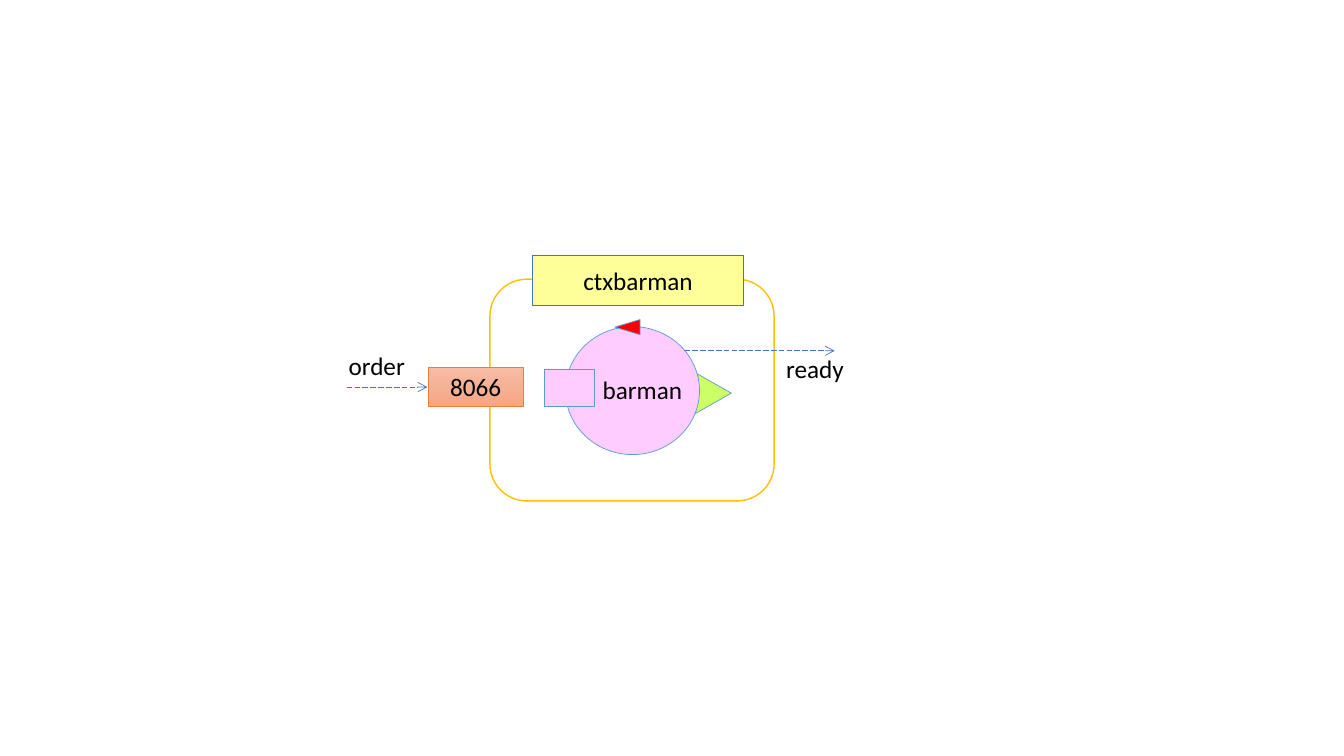
"""Draw the barman actor inside its context, with its order and ready messages."""
import copy

import pptx
import pptx.dml.color
import pptx.enum.dml
import pptx.enum.shapes
import pptx.enum.text
import pptx.oxml.ns
import pptx.util

RGB = pptx.dml.color.RGBColor
SHAPE = pptx.enum.shapes.MSO_SHAPE
ALIGN = pptx.enum.text.PP_ALIGN
ANCHOR = pptx.enum.text.MSO_ANCHOR
qn = pptx.oxml.ns.qn

WHITE = RGB(0xFF, 0xFF, 0xFF)
BLACK = RGB(0x00, 0x00, 0x00)
AMBER = RGB(0xFF, 0xC0, 0x00)
YELLOW = RGB(0xFF, 0xFF, 0x99)
PINK = RGB(0xFF, 0xCC, 0xFF)
LIME = RGB(0xCC, 0xFF, 0x66)
RED = RGB(0xFF, 0x00, 0x00)
SKY = RGB(0x5B, 0x9B, 0xD5)
BLUE = RGB(0x44, 0x72, 0xC4)
ORANGE = RGB(0xED, 0x7D, 0x31)
PEACH = (RGB(0xF7, 0xBD, 0xA5), RGB(0xF5, 0xB1, 0x96), RGB(0xF8, 0xA5, 0x82))

CELL = 0.1
COLS, ROWS = 133.33, 75


def grid(*cells):
    """Turn counts of grid columns or rows into lengths."""
    return [pptx.util.Inches(c * CELL) for c in cells]


def write(tf, text, size=18, color=BLACK, font="Calibri", align=None):
    """Put one formatted run into a text frame."""
    p = tf.paragraphs[0]
    p.alignment = align
    r = p.add_run()
    r.text = text
    r.font.size = pptx.util.Pt(size)
    r.font.name = font
    r.font.color.rgb = color


def gradient(sp, colors):
    """Fill a shape from top to bottom with evenly spaced colours."""
    sp.fill.gradient()
    sp.fill.gradient_angle = 270
    stops = sp._element.spPr.find(qn("a:gradFill")).find(qn("a:gsLst"))
    while len(stops) < len(colors):
        stops.append(copy.deepcopy(stops[0]))
    for i, (stop, color) in enumerate(zip(sp.fill.gradient_stops, colors)):
        stop.position = i / (len(colors) - 1)
        stop.color.rgb = color


def block(s, kind, box, fill, line=SKY, width=0.5, rotation=0, text=None):
    """Add a filled, outlined shape with an optional centred caption."""
    sp = s.shapes.add_shape(kind, *grid(*box))
    sp.shadow.inherit = False
    sp.rotation = rotation
    if isinstance(fill, tuple) and not isinstance(fill, RGB):
        gradient(sp, fill)
    else:
        sp.fill.solid()
        sp.fill.fore_color.rgb = fill
    sp.line.color.rgb = line
    sp.line.width = pptx.util.Pt(width)
    if text:
        sp.text_frame.vertical_anchor = ANCHOR.MIDDLE
        write(sp.text_frame, text, align=ALIGN.CENTER)


def label(s, box, text):
    """Add a free-standing one-line label."""
    tf = s.shapes.add_textbox(*grid(*box)).text_frame
    tf.word_wrap = False
    tf.auto_size = pptx.enum.text.MSO_AUTO_SIZE.SHAPE_TO_FIT_TEXT
    write(tf, text)


def message(s, start, end, row):
    """Add a dashed horizontal arrow along one row."""
    c = s.shapes.add_connector(
        pptx.enum.shapes.MSO_CONNECTOR.STRAIGHT, *grid(start, row, end, row))
    c.line.color.rgb = BLUE
    c.line.width = pptx.util.Pt(0.5)
    c.line.dash_style = pptx.enum.dml.MSO_LINE.LONG_DASH
    spPr = c._element.spPr
    tail = spPr.find(qn("a:ln")).makeelement(qn("a:tailEnd"), {"type": "arrow"})
    spPr.find(qn("a:ln")).append(tail)
    spPr.append(spPr.makeelement(qn("a:effectLst"), {}))


def main():
    """Build the slide and save it."""
    prs = pptx.Presentation()
    prs.slide_width, prs.slide_height = grid(COLS, ROWS)
    s = prs.slides.add_slide(prs.slide_layouts[6])

    block(s, SHAPE.ROUNDED_RECTANGLE, (48.6, 27.7, 28.2, 22), WHITE, AMBER, 1)
    block(s, SHAPE.ISOSCELES_TRIANGLE, (62.3, 34.2, 10.9, 9.6), LIME, rotation=90)
    block(s, SHAPE.OVAL, (56.1, 32.4, 13.3, 12.7), PINK)
    block(s, SHAPE.RECTANGLE, (54, 36.6, 5, 3.7), PINK)
    block(s, SHAPE.ISOSCELES_TRIANGLE, (61.5, 31.2, 1.5, 2.5), RED, rotation=270)
    label(s, (58.8, 36.6, 10, 4), "barman")
    block(s, SHAPE.RECTANGLE, (52.8, 25.3, 21, 5), YELLOW, BLUE, text="ctxbarman")
    block(s, SHAPE.RECTANGLE, (42.5, 36.4, 9.4, 3.9), PEACH, ORANGE, text="8066")

    message(s, 67.9, 82.8, 34.8)
    label(s, (33.6, 34.3, 7.7, 4), "order")
    label(s, (77, 34.6, 7.8, 4), "ready")
    message(s, 34.4, 42.4, 38.4)
    prs.save("out.pptx")


if __name__ == "__main__":
    main()
